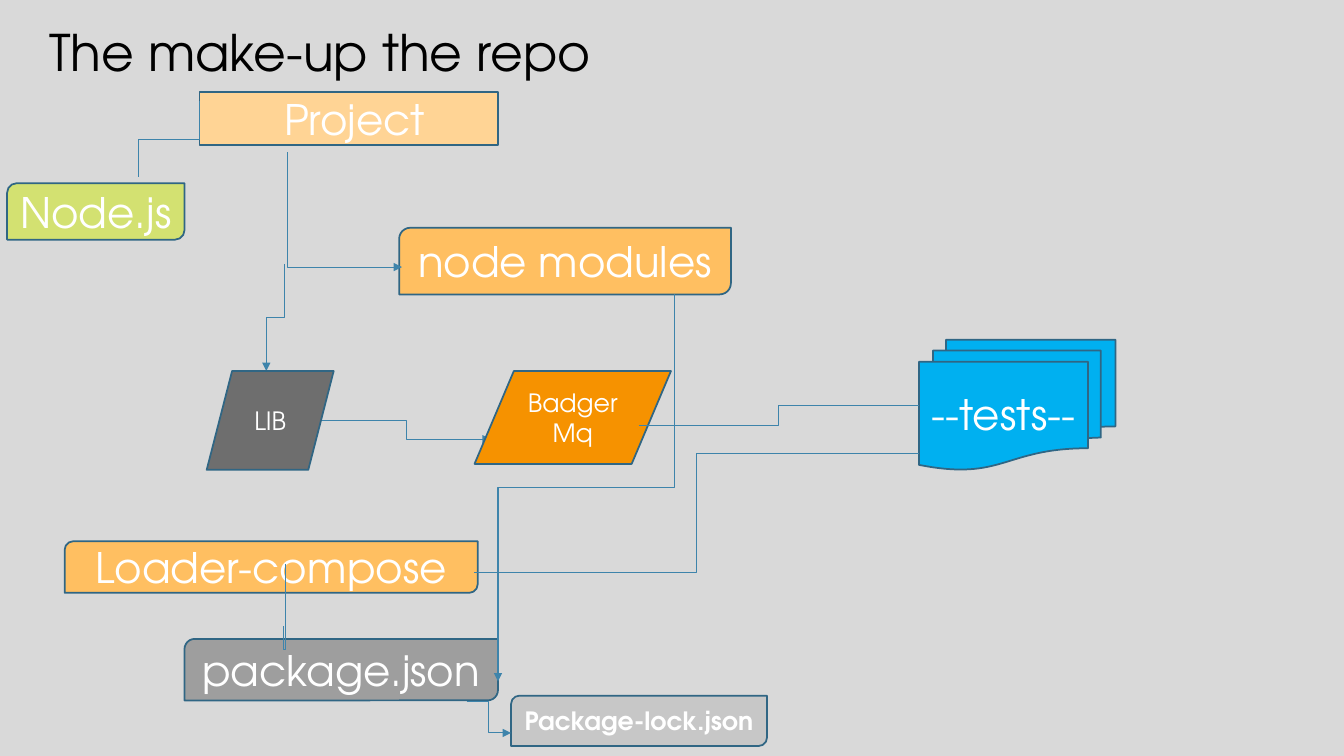
from dataclasses import dataclass

from lxml.etree import SubElement
from pptx import Presentation
from pptx.dml.color import RGBColor as Rgb
from pptx.enum.shapes import MSO_CONNECTOR as Link, MSO_SHAPE as Shape
from pptx.enum.text import MSO_ANCHOR as Anchor, PP_ALIGN as Align
from pptx.oxml.ns import qn
from pptx.util import Cm, Pt


@dataclass(frozen=True)
class Theme:
    font: str = "TeX Gyre Adventor"
    page: str = "D9D9D9"
    title: str = "000000"
    label: str = "FFFFFF"
    outline: str = "306684"
    link: str = "3E84AB"
    blue: str = "00B0F0"
    peach: str = "FFD495"
    amber: str = "FFBF61"
    orange: str = "F69200"
    lime: str = "D3E171"
    dark_grey: str = "6E6E6E"
    grey: str = "9E9E9E"
    light_grey: str = "C7C7C7"
    title_size: int = 36
    large: int = 30
    small: int = 18
    outline_width: float = 1.25
    link_width: float = 0.75


THEME = Theme()


def write_text(frame, text, size, color, align, bold=False):
    frame.word_wrap = True
    frame.vertical_anchor = Anchor.MIDDLE
    para = frame.paragraphs[0]
    para.alignment = align
    formats = {"name": THEME.font, "size": Pt(size), "bold": bold}
    for number, line in enumerate(text.splitlines()):
        if number:
            para.add_line_break()
        span = para.add_run()
        span.text = line
        for name, value in formats.items():
            setattr(span.font, name, value)
        span.font.color.rgb = Rgb.from_string(color)


def add_title(page, text, left, top, width, height):
    title = page.shapes.title
    place = {"left": left, "top": top, "width": width, "height": height}
    for name, value in place.items():
        setattr(title, name, Cm(value))
    write_text(title.text_frame, text, THEME.title_size, THEME.title, Align.LEFT)


def add_box(page, kind, text, place, fill, size=THEME.large, bold=False):
    box = page.shapes.add_shape(kind, *map(Cm, place))
    box.shadow.inherit = False
    box.fill.solid()
    box.fill.fore_color.rgb = Rgb.from_string(fill)
    box.line.color.rgb = Rgb.from_string(THEME.outline)
    box.line.width = Pt(THEME.outline_width)
    write_text(box.text_frame, text, size, THEME.label, Align.CENTER, bold)


def style_link(link, arrow):
    link.line.color.rgb = Rgb.from_string(THEME.link)
    link.line.width = Pt(THEME.link_width)
    if arrow:
        SubElement(link.line._get_or_add_ln(), qn("a:tailEnd"), type="triangle")
    SubElement(link._element.spPr, qn("a:effectLst"))


def add_side_link(page, start, end, arrow=False):
    """Elbow line that leaves its start sideways."""
    link = page.shapes.add_connector(Link.ELBOW, *map(Cm, start + end))
    style_link(link, arrow)


def add_down_link(page, start, end, arrow=False, corner=False, bend=None):
    """Elbow line that leaves its start downwards: a turned sideways one."""
    (x1, y1), (x2, y2) = start, end
    across, down = abs(x2 - x1), y2 - y1
    left, top = (x1 + x2 - down) / 2, (y1 + y2 - across) / 2
    link = page.shapes.add_connector(
        Link.ELBOW, Cm(left), Cm(top), Cm(left + down), Cm(top + across))
    properties = link._element.spPr
    frame = properties.find(qn("a:xfrm"))
    if x2 > x1:
        frame.set("rot", str(270 * 60000))
        frame.set("flipH", "1")
    else:
        frame.set("rot", str(90 * 60000))
    geometry = properties.find(qn("a:prstGeom"))
    if corner:
        geometry.set("prst", "bentConnector2")
    if bend:
        SubElement(geometry.find(qn("a:avLst")), qn("a:gd"),
                   name="adj1", fmla=f"val {round(bend * 100000)}")
    style_link(link, arrow)


def main():
    deck = Presentation()
    deck.slide_width, deck.slide_height = Cm(33.87), Cm(19.05)
    page = deck.slides.add_slide(deck.slide_layouts[5])
    page.background.fill.solid()
    page.background.fill.fore_color.rgb = Rgb.from_string(THEME.page)
    add_title(page, "The make-up the repo", 0.99, 0.28, 15.49, 2.01)

    # Project and its modules
    card, slanted = Shape.ROUND_2_DIAG_RECTANGLE, Shape.FLOWCHART_DATA
    add_box(page, Shape.FLOWCHART_MULTIDOCUMENT, "--tests--",
            (23.16, 8.56, 4.95, 3.28), THEME.blue)
    add_box(page, Shape.FLOWCHART_PROCESS, " Project",
            (5.03, 2.31, 7.52, 1.35), THEME.peach)
    add_box(page, card, "package.json", (4.65, 16.1, 7.9, 1.55), THEME.grey)
    add_box(page, card, "node modules", (10.06, 5.74, 8.36, 1.68), THEME.amber)
    add_down_link(page, (7.24, 3.84), (10.13, 6.73), arrow=True, corner=True)
    add_down_link(page, (7.16, 6.65), (6.71, 9.35), arrow=True)
    add_box(page, card, "Node.js", (0.18, 4.62, 4.47, 1.42), THEME.lime)
    add_down_link(page, (5.03, 2.54), (3.48, 4.47))

    # Containers
    add_box(page, card, "Loader-compose", (1.63, 13.64, 10.41, 1.3), THEME.amber)
    add_side_link(page, (23.16, 11.43), (11.94, 14.43))
    add_down_link(page, (7.19, 14.22), (7.14, 15.77), bend=1.39)

    # Library and message queue
    add_side_link(page, (8.1, 10.59), (12.37, 11.07), arrow=True)
    add_box(page, slanted, "LIB", (5.21, 9.35, 3.2, 2.49),
            THEME.dark_grey, THEME.small)
    add_box(page, slanted, "Badger\nMq", (11.96, 9.35, 4.95, 2.34),
            THEME.orange, THEME.small)
    add_side_link(page, (16.1, 10.72), (23.16, 10.21))

    # Package files
    add_down_link(page, (16.99, 7.42), (12.55, 17.17), arrow=True)
    add_box(page, card, "Package-lock.json", (12.88, 17.53, 6.45, 1.27),
            THEME.light_grey, THEME.small, bold=True)
    add_side_link(page, (11.76, 17.68), (12.88, 18.47), arrow=True)

    deck.save("out.pptx")


if __name__ == "__main__":
    main()
